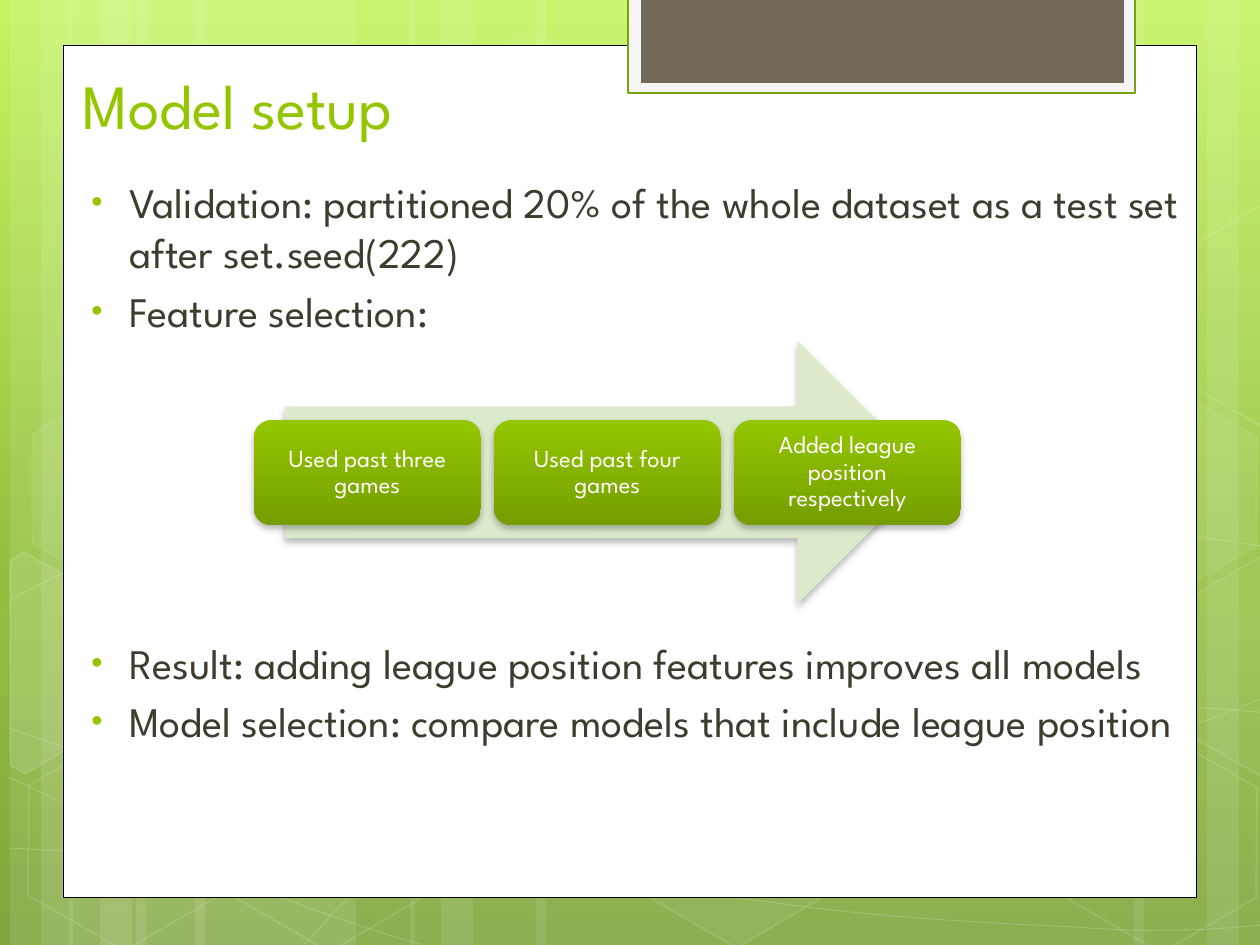
from copy import deepcopy
from math import cos, radians, sin
from lxml.etree import SubElement
from pptx import Presentation
from pptx.dml.color import RGBColor
from pptx.enum.shapes import MSO_SHAPE
from pptx.enum.text import MSO_ANCHOR, PP_ALIGN
from pptx.oxml.ns import qn
from pptx.util import Emu, Pt

FONT = "League Spartan"
TILT = 30
COLORS = {
    "white": "FFFFFF", "black": "000000", "lime": "94C600", "moss": "769D00",
    "text": "3E3D2D", "tab": "71685A", "tab_frame": "F5F5F5", "tab_line": "74A510",
    "arrow": "DCEACC", "sky": "C3F35F", "leaf": "93BF3F", "grass": "81A53E",
}

CURVES = [
    [(9, 848), (77, 852), (145, 856), (239, 854), (334, 853), (451, 851), (577, 838),
     (703, 825), (882, 802), (998, 777), (1113, 753), (1231, 716), (1269, 694)],
    [(9, 601), (45, 581), (82, 562), (152, 543), (224, 524), (326, 496), (437, 488),
     (549, 479), (685, 478), (824, 488), (963, 498), (1193, 537), (1269, 547)],
    [(8, 777), (160, 847), (311, 916), (421, 944)],
    [(9, 728), (48, 742), (88, 756), (161, 776), (234, 795), (344, 827), (450, 848),
     (554, 869), (687, 892), (791, 905), (896, 919), (1008, 924), (1075, 927),
     (1140, 932), (1158, 930), (1191, 930), (1223, 929), (1246, 926), (1269, 925)],
    [(305, 944), (328, 919), (350, 893), (381, 871), (411, 848), (454, 823), (489, 805),
     (524, 788), (546, 780), (592, 767), (638, 754), (722, 737), (766, 728),
     (811, 719), (818, 719), (857, 717), (896, 713), (958, 709), (1000, 708),
     (1045, 707), (1116, 708), (1116, 708), (1144, 708), (1173, 708), (1201, 708),
     (1223, 709), (1245, 711), (1256, 712), (1268, 713), (1264, 712), (1268, 713)],
]
HEXAGONS = [
    (421, 45, 4, 8), (626, 742, 6, 12), (14, 745, 0, 12), (18, 393, 7, 8),
    (219, 746, 0, 12), (949, 571, 10, 12), (1051, 747, 0, 12), (1051, 396, 7, 8),
]
CUT_HEXAGONS = [
    ((45, 674), [(10, 561), (24, 552), (121, 607), (120, 718), (25, 774), (10, 765)], 10),
    ((1241, 655), [(1167, 611), (1261, 556), (1271, 562), (1271, 772), (1263, 777),
                   (1167, 722)], 4),
    ((1241, 304), [(1167, 261), (1261, 205), (1273, 212), (1271, 422), (1263, 427),
                   (1167, 372)], 0),
]


def px(n):
    return Emu(round(n * 914400 / 126))


def rgb(name):
    return RGBColor.from_string(COLORS[name])


def paint(fill, name, owner, alpha=100):
    if not name or not alpha:
        fill.background()
        return
    fill.solid()
    fill.fore_color.rgb = rgb(name)
    if alpha < 100:
        clr = owner.find(qn("a:solidFill")).find(qn("a:srgbClr"))
        SubElement(clr, qn("a:alpha"), val=str(alpha * 1000))


def paint_gradient(fill, owner, stops):
    fill.gradient()
    fill.gradient_angle = 270
    gs_list = next(owner.iter(qn("a:gsLst")))
    while len(gs_list) < len(stops):
        gs_list.append(deepcopy(gs_list[-1]))
    for stop, (position, name) in zip(fill.gradient_stops, stops):
        stop.position = position
        stop.color.rgb = rgb(name)


def style(sp, fill=None, alpha=100, line=None, width=1, line_alpha=100):
    sp.shadow.inherit = False
    props = sp._element.spPr
    paint(sp.fill, fill, props, alpha)
    paint(sp.line.fill, line, props.get_or_add_ln(), line_alpha)
    if line:
        sp.line.width = Pt(width)
    return sp


def add_shape(s, kind, box, **look):
    return style(s.shapes.add_shape(kind, *map(px, box)), **look)


def add_outline(s, points, close, **look):
    pts = [(px(x), px(y)) for x, y in points]
    builder = s.shapes.build_freeform(*pts[0])
    builder.add_line_segments(pts[1:], close=close)
    return style(builder.convert_to_shape(), **look)


def add_curve(s, points, **look):
    sp = add_outline(s, points, False, **look)
    outline = next(sp._element.iter(qn("a:path")))
    segments = outline.findall(qn("a:lnTo"))
    for i in range(0, len(segments), 3):
        curve = SubElement(outline, qn("a:cubicBezTo"))
        for segment in segments[i:i + 3]:
            curve.append(segment[0])
            outline.remove(segment)


def turn(point, center, degrees):
    dx, dy = point[0] - center[0], point[1] - center[1]
    c, n = cos(radians(degrees)), sin(radians(degrees))
    return center[0] + dx * c - dy * n, center[1] + dx * n + dy * c


def add_shadow(sp):
    effects = sp._element.spPr.find(qn("a:effectLst"))
    shadow = SubElement(effects, qn("a:outerShdw"), blurRad=str(Pt(4)), dist=str(Pt(2)),
                        dir="5400000", rotWithShape="0")
    clr = SubElement(shadow, qn("a:srgbClr"), val=COLORS["black"])
    SubElement(clr, qn("a:alpha"), val="28000")


def format_runs(p, size, color):
    for r in p.runs:
        r.font.size = Pt(size)
        r.font.name = FONT
        r.font.color.rgb = rgb(color)


def add_backdrop(s, box):
    x, y, w, h = box
    fill = s.background.fill
    paint_gradient(fill, s._element, [(0, "sky"), (0.62, "leaf"), (1, "grass")])
    for edge, mirrored, wide in ((10, False, 220), (69, False, 220),
                                 (1270, True, 220), (410, False, 388)):
        for offset, width in ((126, wide), (0, 63), (31, 105)):
            left = edge - offset - width if mirrored else edge + offset
            add_shape(s, MSO_SHAPE.RECTANGLE, (x + left, y, width, h), fill="white", alpha=10)
    for curve in CURVES:
        add_curve(s, [(x + a, y + b) for a, b in curve], line="white", width=0.5,
                  line_alpha=20)
    for left, top, alpha, line_alpha in HEXAGONS:
        sp = add_shape(s, MSO_SHAPE.HEXAGON, (x + left, y + top, 220, 191), fill="white",
                       alpha=alpha, line="white", line_alpha=line_alpha)
        sp.adjustments[0] = 0.285
        sp.rotation = TILT
    for center, corners, alpha in CUT_HEXAGONS:
        level = [turn(corner, center, -TILT) for corner in corners]
        sp = add_outline(s, [(x + a, y + b) for a, b in level], True, fill="white",
                         alpha=alpha, line="white", line_alpha=12)
        sp.rotation = TILT


def add_panel(s, box):
    x, y, w, h = box
    add_shape(s, MSO_SHAPE.RECTANGLE, box, fill="white", line="black", width=0.5)
    add_shape(s, MSO_SHAPE.RECTANGLE, (x + 565, y - 47, 507, 95), fill="tab_frame",
              line="tab_line", width=1.25)
    add_shape(s, MSO_SHAPE.RECTANGLE, (x + 578, y - 47, 483, 85), fill="tab")


def add_title(s, box, text):
    tf = s.shapes.add_textbox(*map(px, box)).text_frame
    tf.word_wrap = True
    tf.vertical_anchor = MSO_ANCHOR.BOTTOM
    tf.text = text
    format_runs(tf.paragraphs[0], 36, "lime")


def add_bullets(s, box, items):
    tf = s.shapes.add_textbox(*map(px, box)).text_frame
    tf.word_wrap = True
    tf.text = "\n".join(text for text, _ in items)
    for p, (_, gap) in zip(tf.paragraphs, items):
        p.space_before = Pt(gap)
        format_runs(p, 24, "text")
        props = p._p.get_or_add_pPr()
        props.set("marL", str(px(48)))
        props.set("indent", str(-px(38)))
        clr = SubElement(props, qn("a:buClr"))
        SubElement(clr, qn("a:srgbClr"), val=COLORS["lime"])
        SubElement(props, qn("a:buSzPct"), val="76000")
        SubElement(props, qn("a:buFont"), typeface="Arial")
        SubElement(props, qn("a:buChar"), char="•")


def add_process(s, box, steps):
    x, y, w, h = box
    add_shadow(add_shape(s, MSO_SHAPE.RIGHT_ARROW, (x + 31, y, 644, h), fill="arrow"))
    gap, height = 13, 105
    width = (w - gap * (len(steps) - 1)) / len(steps)
    for i, text in enumerate(steps):
        step_box = (x + i * (width + gap), y + (h - height) / 2, width, height)
        sp = add_shape(s, MSO_SHAPE.ROUNDED_RECTANGLE, step_box)
        paint_gradient(sp.fill, sp._element, [(0, "lime"), (1, "moss")])
        add_shadow(sp)
        tf = sp.text_frame
        tf.word_wrap = True
        tf.vertical_anchor = MSO_ANCHOR.MIDDLE
        tf.margin_left = tf.margin_right = tf.margin_top = tf.margin_bottom = px(10)
        tf.text = text
        p = tf.paragraphs[0]
        p.alignment = PP_ALIGN.CENTER
        p.line_spacing = 0.9
        format_runs(p, 14, "white")


def main():
    prs = Presentation()
    prs.slide_width, prs.slide_height = px(1260), px(945)
    s = prs.slides.add_slide(prs.slide_layouts[6])
    add_backdrop(s, (0, 0, 1260, 945))
    add_panel(s, (63, 45, 1134, 853))
    add_title(s, (70, 59, 968, 89), "Model setup")
    add_bullets(s, (69, 170, 1127, 727), [
        ("Validation: partitioned 20% of the whole dataset as a test set after set.seed(222)", 4.8),
        ("Feature selection:", 4.8),
        ("Result: adding league position features improves all models", 172.3),
        ("Model selection: compare models that include league position", 4.5),
    ])
    add_process(s, (254, 341, 707, 263), [
        "Used past three games", "Used past four games", "Added league position respectively"])
    prs.save("out.pptx")


if __name__ == "__main__":
    main()
